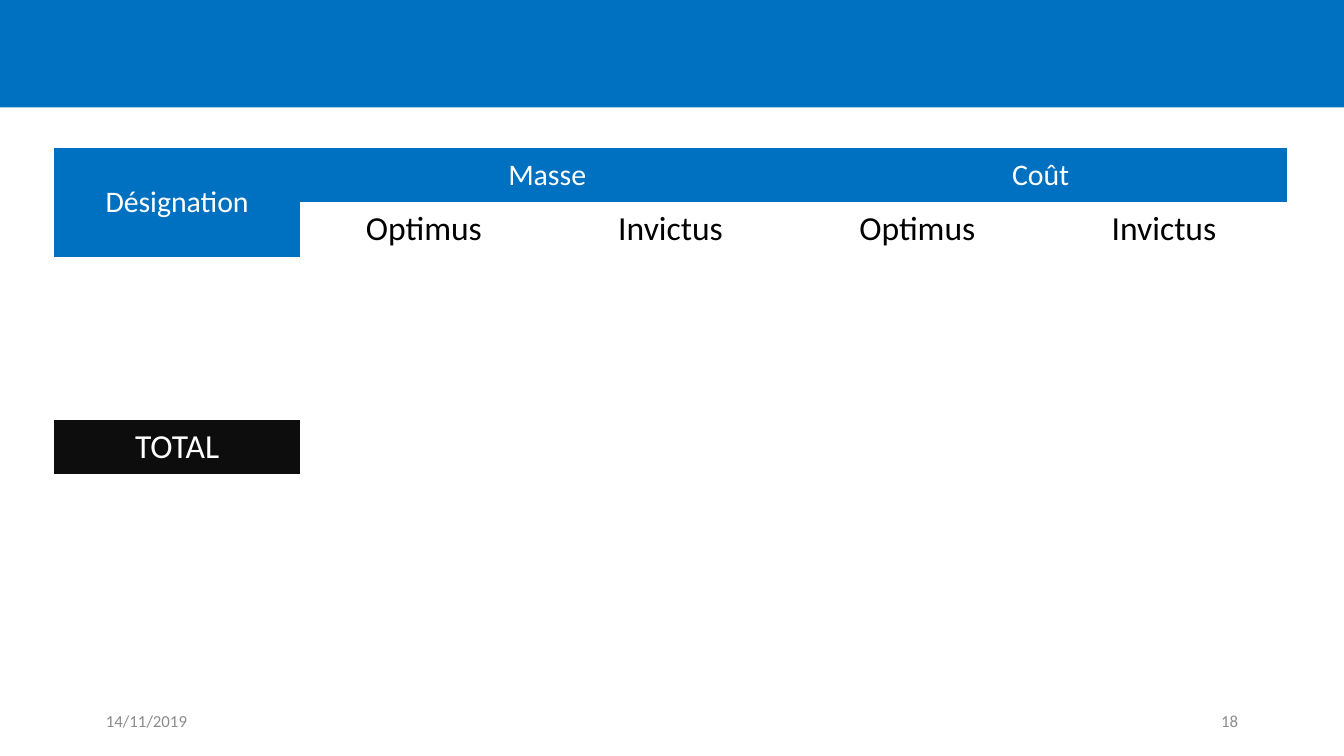
import pptx
import pptx.util
import pptx.dml.color
import pptx.enum.shapes
import pptx.enum.text
import pptx.oxml.ns

WIDE = 10
HIGH = WIDE * 9 / 16
COLS, ROWS = 5, 6
FONT = "Calibri"
HUES = {"blue": "0070C0", "dark": "0D0D0D", "white": "FFFFFF",
        "black": "000000", "gray": "8C8C8C"}
PLAIN = "{2D5ABB26-0587-4C30-8999-92F81FD0307C}"  # no style, no grid
ALIGN = pptx.enum.text.PP_ALIGN
MIDDLE = pptx.enum.text.MSO_ANCHOR.MIDDLE


def inch(*sizes):
    return [pptx.util.Inches(size) for size in sizes]


def hue(name):
    return pptx.dml.color.RGBColor.from_string(HUES[name])


def paint(item, name):
    item.fill.solid()
    item.fill.fore_color.rgb = hue(name)


def write(frame, text, size, color, align):
    frame.text = text
    line = frame.paragraphs[0]
    line.alignment = align
    for run in line.runs:
        run.font.name = FONT
        run.font.size = pptx.util.Pt(size)
        run.font.color.rgb = hue(color)


def add_band(slide):
    kind = pptx.enum.shapes.MSO_SHAPE.RECTANGLE
    band = slide.shapes.add_shape(kind, *inch(0, -0.02, WIDE, 0.82))
    band.shadow.inherit = False
    band.line.fill.background()
    paint(band, "blue")


def add_note(slide, left, text, align):
    box = slide.shapes.add_textbox(*inch(left, 5.21, 2.25, 0.3))
    box.text_frame.word_wrap = True
    box.text_frame.vertical_anchor = MIDDLE
    write(box.text_frame, text, 9, "gray", align)


def add_grid(slide):
    frame = slide.shapes.add_table(ROWS, COLS, *inch(0.4, 1.1, 9.18, 2.43))
    grid = frame.table
    grid.first_row = grid.horz_banding = False
    props = grid._tbl.tblPr
    props.find(pptx.oxml.ns.qn("a:tableStyleId")).text = PLAIN
    for cell in grid.iter_cells():
        cell.fill.background()
    return grid


def fill_cell(grid, row, col, text, size=18, color="white", back=None):
    cell = grid.cell(row, col)
    cell.vertical_anchor = MIDDLE
    write(cell.text_frame, text, size, color, ALIGN.CENTER)
    if back:
        paint(cell, back)


def main():
    deck = pptx.Presentation()
    deck.slide_width, deck.slide_height = inch(WIDE, HIGH)
    slide = deck.slides.add_slide(deck.slide_layouts[6])

    # Top band, date and page number
    add_band(slide)
    add_note(slide, 0.69, "14/11/2019", ALIGN.LEFT)
    add_note(slide, WIDE - 0.69 - 2.25, "18", ALIGN.RIGHT)

    # Merged headings: text, column, row span, column span
    grid = add_grid(slide)
    heads = [("Désignation", 0, 2, 1), ("Masse", 1, 1, 2), ("Coût", 3, 1, 2)]
    for text, col, down, across in heads:
        grid.cell(0, col).merge(grid.cell(down - 1, col + across - 1))
        fill_cell(grid, 0, col, text, 16, back="blue")

    # Names under each heading, then the total row
    for col, text in enumerate(["Optimus", "Invictus"] * 2, 1):
        fill_cell(grid, 1, col, text, color="black")
    fill_cell(grid, ROWS - 1, 0, "TOTAL", back="dark")

    deck.save("out.pptx")


if __name__ == "__main__":
    main()
